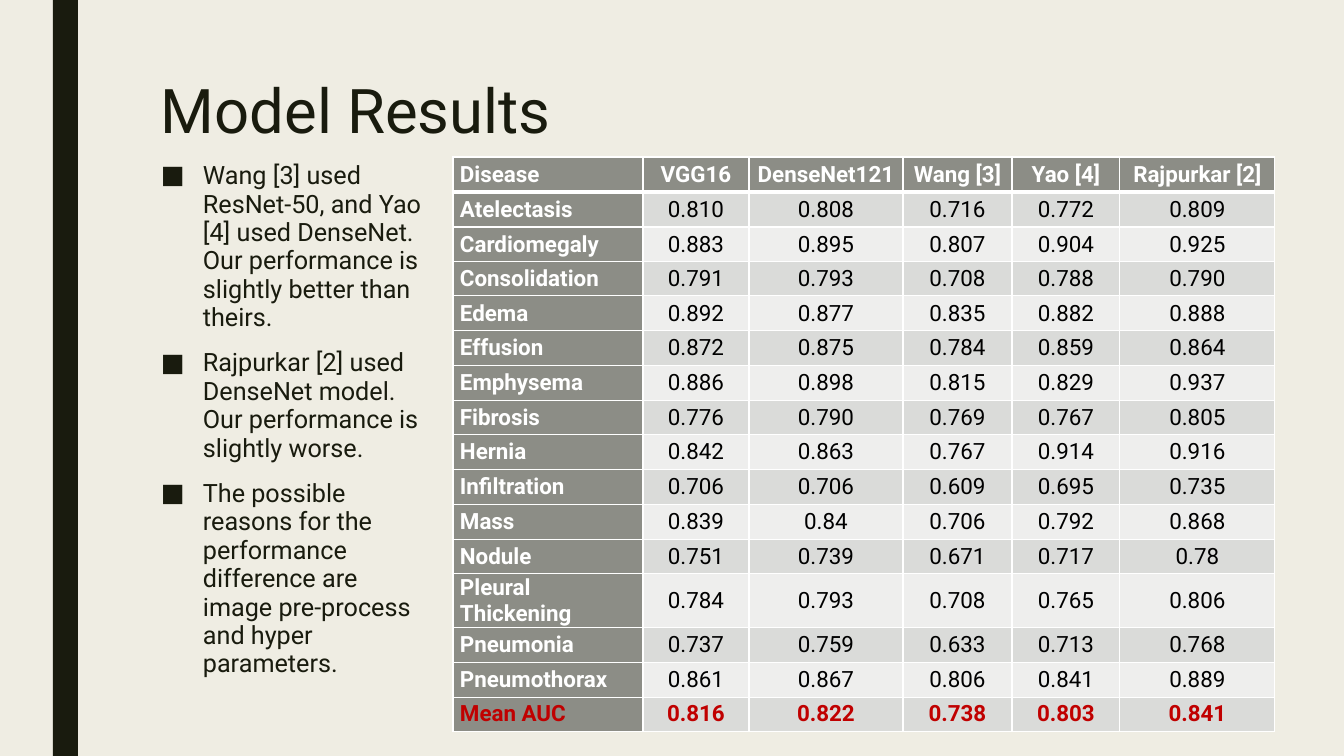
from lxml import etree
from pptx import Presentation, util as u
from pptx.dml import color
from pptx.enum import shapes, text
from pptx.oxml import ns

FONT = "Roboto"
DARK, GREY, WHITE, BLACK, RED = "191B0E", "8C8D86", "FFFFFF", "000000", "C00000"
BANDS = ["EEEEED", "DADBD9"]
SCALE = 914400 / 100.8


def px(*lengths):
    return [u.Emu(round(length * SCALE)) for length in lengths]


def write(paragraph, words, size, ink, bold=False, **layout):
    for name, value in layout.items():
        setattr(paragraph, name, value)
    run = paragraph.add_run()
    run.text = words
    for name, value in {"name": FONT, "size": u.Pt(size), "bold": bold}.items():
        setattr(run.font, name, value)
    run.font.color.rgb = color.RGBColor.from_string(ink)


presentation = Presentation()
presentation.slide_width, presentation.slide_height = px(1344, 756)
slide = presentation.slides.add_slide(presentation.slide_layouts[6])
slide.background.fill.solid()
slide.background.fill.fore_color.rgb = color.RGBColor.from_string("EFEDE3")

stripe = slide.shapes.add_shape(shapes.MSO_SHAPE.RECTANGLE, *px(53, 0, 25, 756))
stripe.shadow.inherit = False
stripe.fill.solid()
stripe.fill.fore_color.rgb = color.RGBColor.from_string(DARK)
stripe.line.fill.background()

title = slide.shapes.add_textbox(*px(151, 76, 1058, 163)).text_frame
title.word_wrap = True
write(title.paragraphs[0], "Model Results", 44, DARK, line_spacing=0.89)

results = [line.split("|") for line in """\
Disease|VGG16|DenseNet121|Wang [3]|Yao [4]|Rajpurkar [2]
Atelectasis|0.810|0.808|0.716|0.772|0.809
Cardiomegaly|0.883|0.895|0.807|0.904|0.925
Consolidation|0.791|0.793|0.708|0.788|0.790
Edema|0.892|0.877|0.835|0.882|0.888
Effusion|0.872|0.875|0.784|0.859|0.864
Emphysema|0.886|0.898|0.815|0.829|0.937
Fibrosis|0.776|0.790|0.769|0.767|0.805
Hernia|0.842|0.863|0.767|0.914|0.916
Infiltration|0.706|0.706|0.609|0.695|0.735
Mass|0.839|0.84|0.706|0.792|0.868
Nodule|0.751|0.739|0.671|0.717|0.78
Pleural Thickening|0.784|0.793|0.708|0.765|0.806
Pneumonia|0.737|0.759|0.633|0.713|0.768
Pneumothorax|0.861|0.867|0.806|0.841|0.889
Mean AUC|0.816|0.822|0.738|0.803|0.841""".splitlines()]
last = len(results) - 1
widths = px(190, 106, 154, 109, 108, 155)
table = slide.shapes.add_table(len(results), len(widths), *px(453, 157, 822, 573)).table
for column, width in zip(table.columns, widths):
    column.width = width

for r, values in enumerate(results):
    height = 52 if values[0] == "Pleural Thickening" else 34 if r % 4 == 3 else 35
    table.rows[r].height = px(height)[0]
    for c, value in enumerate(values):
        cell = table.cell(r, c)
        side, none = px(7, 0)
        cell_format = {"margin_left": side, "margin_right": side, "margin_top": none,
                       "margin_bottom": none, "vertical_anchor": text.MSO_ANCHOR.MIDDLE}
        for name, setting in cell_format.items():
            setattr(cell, name, setting)
        properties = cell._tc.get_or_add_tcPr()
        for edge in "LRTB":
            thick = (r, edge) in [(0, "B"), (1, "T")]
            border = etree.SubElement(properties, ns.qn("a:ln" + edge), w=str(u.Pt(3 if thick else 1)))
            solid = etree.SubElement(border, ns.qn("a:solidFill"))
            etree.SubElement(solid, ns.qn("a:srgbClr"), val=WHITE)
        heading = r == 0 or c == 0
        cell.fill.solid()
        cell.fill.fore_color.rgb = color.RGBColor.from_string(GREY if heading else BANDS[r % 2])
        write(cell.text_frame.paragraphs[0], value, 16,
              RED if r == last else WHITE if heading else BLACK, heading or r == last,
              alignment=text.PP_ALIGN.CENTER if c else text.PP_ALIGN.JUSTIFY,
              space_before=u.Pt(3), space_after=u.Pt(3))

remarks = slide.shapes.add_textbox(*px(151, 157, 288, 556)).text_frame
remarks.word_wrap = True
indent = px(42)[0]
for i, remark in enumerate([
    "Wang [3] used ResNet-50, and Yao [4] used DenseNet. Our performance is slightly better than theirs.",
    "Rajpurkar [2] used DenseNet model. Our performance is slightly worse.",
    "The possible reasons for the performance difference are image pre-process and hyper parameters.",
]):
    paragraph = remarks.add_paragraph() if i else remarks.paragraphs[0]
    write(paragraph, remark, 18, DARK, line_spacing=0.94, space_before=u.Pt(10), space_after=u.Pt(2))
    properties = paragraph._p.get_or_add_pPr()
    properties.set("marL", str(indent))
    properties.set("indent", str(-indent))
    etree.SubElement(properties, ns.qn("a:buFont"), typeface=FONT)
    etree.SubElement(properties, ns.qn("a:buChar"), char="■")

presentation.save("out.pptx")
